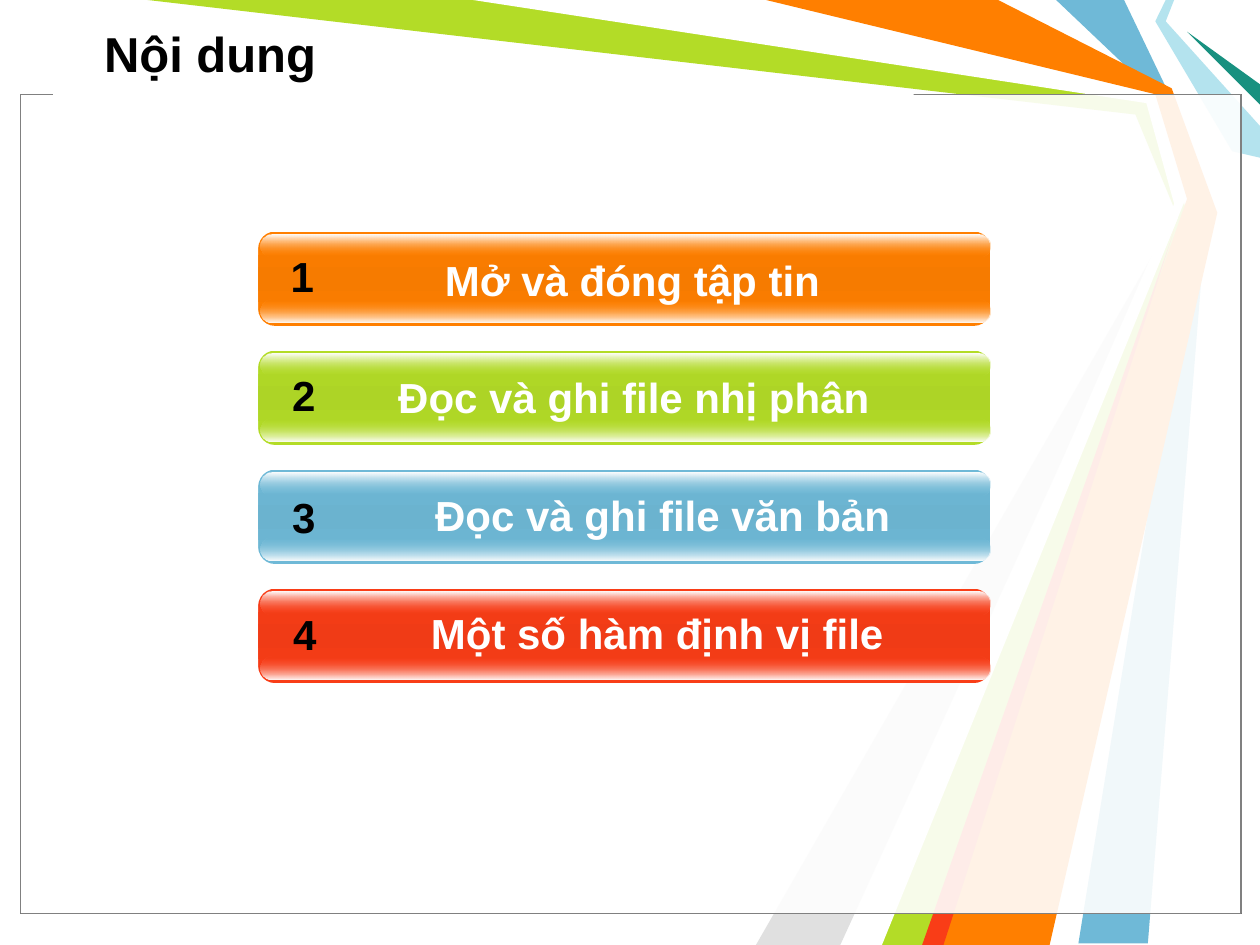
from lxml import etree
from pptx import Presentation
from pptx.dml.color import RGBColor
from pptx.enum.shapes import MSO_SHAPE
from pptx.enum.text import MSO_ANCHOR, PP_ALIGN
from pptx.oxml.ns import qn
from pptx.util import Cm, Pt

RECTANGLE = MSO_SHAPE.RECTANGLE
ROUNDED = MSO_SHAPE.ROUNDED_RECTANGLE
TOP, MIDDLE = MSO_ANCHOR.TOP, MSO_ANCHOR.MIDDLE
LEFT, CENTER = PP_ALIGN.LEFT, PP_ALIGN.CENTER
WHITE, BLACK = "FFFFFF", "000000"
ORANGE, GREEN, BLUE, RED = "FF7F00", "B3DC27", "6FB9D7", "F93D17"
OPAQUE, CLEAR = 100, 0

deck = Presentation()
deck.slide_width, deck.slide_height = Cm(25.4), Cm(19.05)
page = deck.slides.add_slide(deck.slide_layouts[6])


def add_block(kind, left, top, width, height, stops):
    block = page.shapes.add_shape(kind, Cm(left), Cm(top), Cm(width), Cm(height))
    block.shadow.inherit = False
    block.line.fill.background()
    if len(stops) == 1:
        block.fill.solid()
        block.fill.fore_color.rgb = RGBColor.from_string(stops[0][1])
        parents = [block.element.spPr.find(qn("a:solidFill"))]
    else:
        block.fill.gradient()
        block.fill.gradient_angle = 270
        stop_list = block.element.spPr.find(qn("a:gradFill")).find(qn("a:gsLst"))
        stop_list.clear()
        parents = []
        for position, color, _ in stops:
            stop = etree.SubElement(stop_list, qn("a:gs"), pos=str(position * 1000))
            etree.SubElement(stop, qn("a:srgbClr"), val=color)
            parents.append(stop)
    for parent, (_, _, opacity) in zip(parents, stops):
        if opacity < OPAQUE:
            etree.SubElement(parent[0], qn("a:alpha"), val=str(opacity * 1000))
    return block


def add_text(text, left, top, width, height, size, color, align, anchor):
    box = page.shapes.add_textbox(Cm(left), Cm(top), Cm(width), Cm(height))
    frame = box.text_frame
    frame.word_wrap = True
    frame.vertical_anchor = anchor
    frame.text = text
    para = frame.paragraphs[0]
    para.alignment = align
    font = para.runs[0].font
    font.name, font.size, font.bold = "Arial", Pt(size), True
    font.color.rgb = RGBColor.from_string(color)
    return para


ribbons = [
    (BLUE, [(2266, 0), (2360, 196), (2433, 424), (2314, 1902), (2174, 1902),
            (2413, 424), (2329, 190), (2129, 0)]),
    (GREEN, [(297, 0), (973, 0), (2322, 198), (2393, 429), (1885, 1905),
             (1758, 1905), (2375, 439), (2289, 231)]),
    ("E0E0E0", [(1694, 1905), (2355, 460), (1524, 1905)]),
    (WHITE, [(953, 0), (2311, 208), (2367, 411), (1715, 1905), (1778, 1905),
             (2390, 401), (2329, 190), (1524, 0)]),
    ("B4E3EE", [(2350, 0), (2329, 43), (2484, 305), (2540, 318), (2540, 254),
                (2350, 43), (2367, 0)]),
    ("189180", [(2540, 211), (2393, 64), (2540, 170)]),
    (ORANGE, [(1544, 0), (2012, 0), (2362, 178), (2454, 429), (2116, 1905),
              (1862, 1905), (2393, 401), (2329, 190)]),
    (RED, [(1859, 1905), (2367, 465), (1902, 1905)]),
]
for color, points in ribbons:
    builder = page.shapes.build_freeform(*points[0], scale=Cm(0.01))
    builder.add_line_segments(points[1:], close=True)
    ribbon = builder.convert_to_shape()
    ribbon.shadow.inherit = False
    ribbon.fill.solid()
    ribbon.fill.fore_color.rgb = RGBColor.from_string(color)
    ribbon.line.fill.background()

for border in (BLACK, "808080"):
    panel = add_block(RECTANGLE, 0.41, 1.9, 24.61, 16.51, [(0, WHITE, 69)])
    panel.line.color.rgb = RGBColor.from_string(border)
    panel.line.width = Pt(0.75)
add_block(RECTANGLE, 1.07, 1.88, 17.35, 0.43, [(0, WHITE, OPAQUE)])

add_text("Nội dung", 1.85, 0.2, 23.14, 1.75, 28, BLACK, LEFT, MIDDLE)

topics = [
    ("Mở và đóng tập tin", ORANGE, "F67B00", (6.5, 5, 12.5), (5.56, 4.93)),
    ("Đọc và ghi file nhị phân", GREEN, "ADD426", (6.53, 7.37, 12.5), (5.59, 7.32)),
    ("Đọc và ghi file văn bản", BLUE, "6BB3CF", (6.78, 9.75, 13.16), (5.59, 9.78)),
    ("Một số hàm định vị file", RED, "F03B16", (6.53, 12.12, 13.44), (5.61, 12.14)),
]
for index, (topic, color, middle, label_place, number_place) in enumerate(topics):
    top = 4.67 + 2.4 * index
    bar = add_block(ROUNDED, 5.21, top, 14.76, 1.9,
                    [(0, color, OPAQUE), (50, middle, OPAQUE), (100, color, OPAQUE)])
    bar.adjustments[0] = 0.175
    glosses = [
        (1.37, [(0, color, CLEAR), (100, WHITE, OPAQUE)]),
        (0.05, [(0, WHITE, OPAQUE), (100, color, CLEAR)]),
    ]
    for offset, stops in glosses:
        gloss = add_block(ROUNDED, 5.26, top + offset, 14.71, 0.46, stops)
        gloss.adjustments[0] = 0.5
    label = add_text(topic, *label_place, 1.27, 24, WHITE, CENTER, TOP)
    properties = label._p.get_or_add_pPr()
    properties.set("marL", str(Cm(1.27)))
    properties.set("indent", str(Cm(-1.27)))
    add_text(str(index + 1), *number_place, 1.07, 1.27, 24, BLACK, CENTER, TOP)

deck.save("out.pptx")
